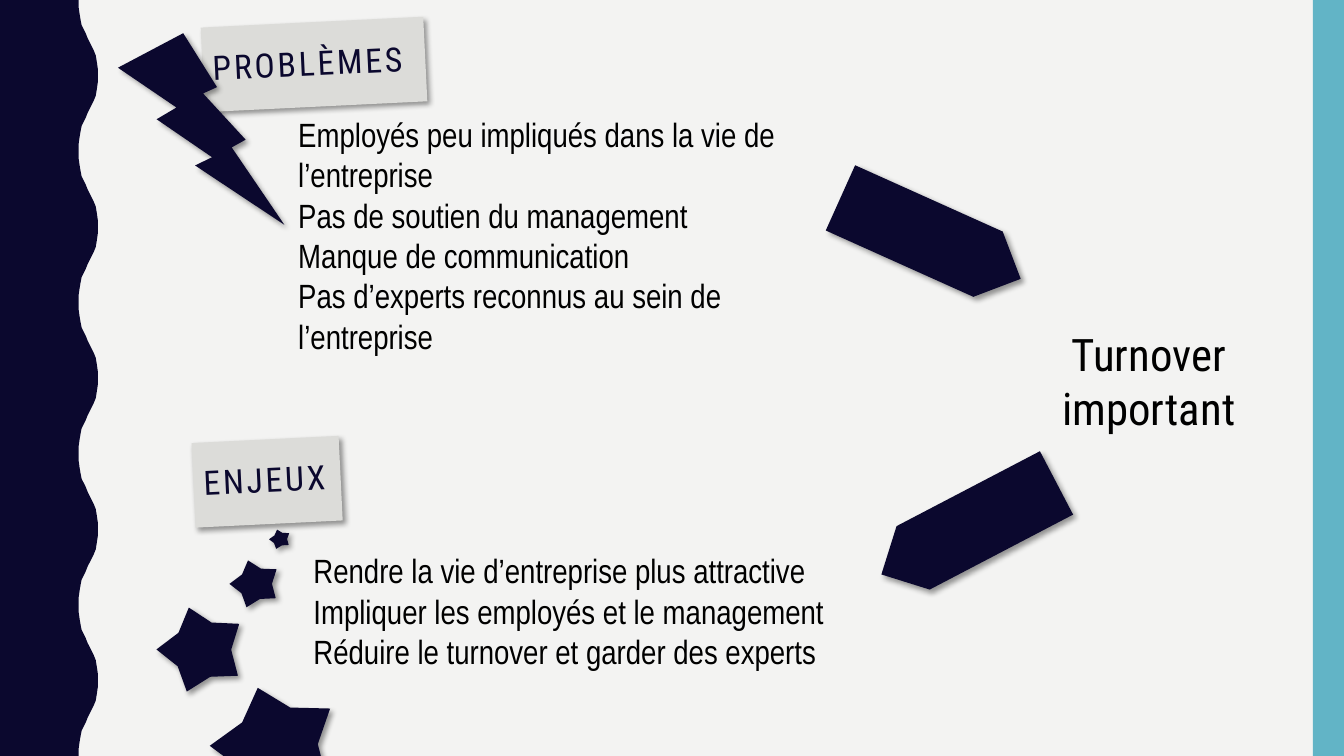
"""Build the slide linking workplace problems, staff turnover and what is at stake."""
from dataclasses import dataclass

from lxml import etree
from pptx import Presentation
from pptx.dml.color import RGBColor
from pptx.enum.shapes import MSO_SHAPE
from pptx.enum.text import MSO_ANCHOR, PP_ALIGN
from pptx.oxml.ns import qn
from pptx.util import Inches, Pt

RECTANGLE = MSO_SHAPE.RECTANGLE
BOLT = MSO_SHAPE.LIGHTNING_BOLT
STAR = MSO_SHAPE.STAR_5_POINT
PENTAGON = MSO_SHAPE.PENTAGON
MIDDLE = MSO_ANCHOR.MIDDLE
LEFT, CENTER = PP_ALIGN.LEFT, PP_ALIGN.CENTER


@dataclass(frozen=True)
class Theme:
    paper: str = "F3F3F2"
    navy: str = "0B082E"
    teal: str = "62B4C6"
    label: str = "DCDCD9"
    black: str = "000000"
    heading_font: str = "Roboto Condensed"
    body_font: str = "Arial Narrow"
    body_size: int = 24
    result_size: int = 32


@dataclass(frozen=True)
class Frame:
    left: float
    top: float
    width: float
    height: float

    def lengths(self) -> list:
        return [Inches(n) for n in (self.left, self.top, self.width, self.height)]


@dataclass(frozen=True)
class Label:
    frame: Frame
    text: str


@dataclass(frozen=True)
class Symbol:
    kind: MSO_SHAPE
    frame: Frame
    rotation: float = 0


@dataclass(frozen=True)
class Note:
    frame: Frame
    lines: tuple
    font: str
    size: int
    align: PP_ALIGN = LEFT


THEME = Theme()
SLIDE_WIDTH, SLIDE_HEIGHT = 13.33, 7.5
LABEL_TILT, STAR_TILT, STAR_DEPTH = 357.2, 342.8, 0.323
WAVE_LEFT, WAVE_PERIOD, WAVE_COUNT = 0.78, 1.5, 5
HALF_WAVE = (
    (0, 0), (0, 0.07), (0.01, 0.14), (0.02, 0.2), (0.03, 0.25),
    (0.05, 0.29), (0.07, 0.33), (0.09, 0.38), (0.11, 0.42), (0.13, 0.46),
    (0.15, 0.5), (0.17, 0.55), (0.18, 0.61), (0.19, 0.68), (0.19, 0.75),
)

LABELS = (
    Label(Frame(2.01, 0.22, 2.21, 0.84), "PROBLÈMES"),
    Label(Frame(1.92, 4.36, 1.46, 0.84), "ENJEUX"),
)
STAR_FRAMES = (
    Frame(1.56, 6.01, 0.86, 0.79),
    Frame(2.28, 5.55, 0.49, 0.44),
    Frame(2.09, 6.8, 1.25, 1.07),
    Frame(2.67, 5.25, 0.21, 0.18),
)
SYMBOLS = (
    Symbol(BOLT, Frame(1.17, 0.33, 1.65, 1.9)),
    Symbol(PENTAGON, Frame(8.63, 4.89, 1.96, 0.71), 152.4),
    Symbol(PENTAGON, Frame(8.25, 2.01, 1.96, 0.71), 24.2),
    *(Symbol(STAR, frame, STAR_TILT) for frame in STAR_FRAMES),
)
NOTES = (
    Note(
        Frame(2.86, 1.08, 5.76, 1.72),
        (
            "Employés peu impliqués dans la vie de l’entreprise",
            "Pas de soutien du management",
            "Manque de communication",
            "Pas d’experts reconnus au sein de l’entreprise",
        ),
        THEME.body_font, THEME.body_size,
    ),
    Note(
        Frame(3.01, 5.41, 6.38, 1.31),
        (
            "Rendre la vie d’entreprise plus attractive",
            "Impliquer les employés et le management",
            "Réduire le turnover et garder des experts",
        ),
        THEME.body_font, THEME.body_size,
    ),
    Note(
        Frame(9.85, 3.19, 3.09, 1.18), ("Turnover important",),
        THEME.heading_font, THEME.result_size, CENTER,
    ),
)


def paint(shape, color: str) -> None:
    """Give a shape a plain fill without line or shadow."""
    shape.shadow.inherit = False
    shape.fill.solid()
    shape.fill.fore_color.rgb = RGBColor.from_string(color)
    shape.line.fill.background()


def cast_shadow(shape) -> None:
    """Add the soft shadow falling to the lower right."""
    effects = shape._element.spPr.find(qn("a:effectLst"))
    shadow = etree.SubElement(
        effects, qn("a:outerShdw"), blurRad=str(Pt(4)), dist=str(Pt(3)),
        dir=str(45 * 60000), algn="tl", rotWithShape="0",
    )
    color = etree.SubElement(shadow, qn("a:srgbClr"), val=THEME.black)
    etree.SubElement(color, qn("a:alpha"), val="40000")


def add_block(slide, symbol: Symbol, color: str):
    """Add a filled, rotated preset shape."""
    shape = slide.shapes.add_shape(symbol.kind, *symbol.frame.lengths())
    shape.rotation = symbol.rotation
    paint(shape, color)
    return shape


def add_span(para, text: str, font: str, size: int, color: str):
    """Add one run of styled text to a paragraph."""
    span = para.add_run()
    span.text = text
    span.font.name = font
    span.font.size = Pt(size)
    span.font.color.rgb = RGBColor.from_string(color)
    return span


def add_wave(slide) -> None:
    """Draw the wavy band along the left edge."""
    crest = [(x, WAVE_PERIOD - y) for x, y in reversed(HALF_WAVE[:-1])]
    edge = [
        (WAVE_LEFT + x, index * WAVE_PERIOD + y)
        for index in range(WAVE_COUNT)
        for x, y in (*HALF_WAVE, *crest)
    ]
    points = [(Inches(x), Inches(y)) for x, y in (*edge, (0, SLIDE_HEIGHT))]
    builder = slide.shapes.build_freeform(0, 0)
    builder.add_line_segments(points, close=True)
    paint(builder.convert_to_shape(), THEME.navy)


def add_label(slide, label: Label) -> None:
    """Add a tilted heading label."""
    shape = add_block(slide, Symbol(RECTANGLE, label.frame, LABEL_TILT), THEME.label)
    cast_shadow(shape)
    box = shape.text_frame
    box.word_wrap = True
    box.margin_right = 0
    box.vertical_anchor = MIDDLE
    para = box.paragraphs[0]
    para.alignment = LEFT
    para.line_spacing = 0.9
    span = add_span(para, label.text, THEME.heading_font, THEME.body_size, THEME.navy)
    span.font._element.set("spc", "200")


def add_symbol(slide, symbol: Symbol) -> None:
    """Add a navy symbol with its shadow."""
    shape = add_block(slide, symbol, THEME.navy)
    cast_shadow(shape)
    if symbol.kind == STAR:
        shape.adjustments[0] = STAR_DEPTH


def add_note(slide, note: Note) -> None:
    """Add a text box with one paragraph per line."""
    box = slide.shapes.add_textbox(*note.frame.lengths()).text_frame
    box.word_wrap = True
    for index, line in enumerate(note.lines):
        para = box.add_paragraph() if index else box.paragraphs[0]
        para.alignment = note.align
        add_span(para, line, note.font, note.size, THEME.black)


def main() -> None:
    """Build and save the deck."""
    deck = Presentation()
    deck.slide_width, deck.slide_height = Inches(SLIDE_WIDTH), Inches(SLIDE_HEIGHT)
    slide = deck.slides.add_slide(deck.slide_layouts[6])
    slide.background.fill.solid()
    slide.background.fill.fore_color.rgb = RGBColor.from_string(THEME.paper)
    add_wave(slide)
    add_block(slide, Symbol(RECTANGLE, Frame(13.02, 0, 0.31, SLIDE_HEIGHT)), THEME.teal)
    for draw, items in ((add_label, LABELS), (add_symbol, SYMBOLS), (add_note, NOTES)):
        for item in items:
            draw(slide, item)
    deck.save("out.pptx")


main()
